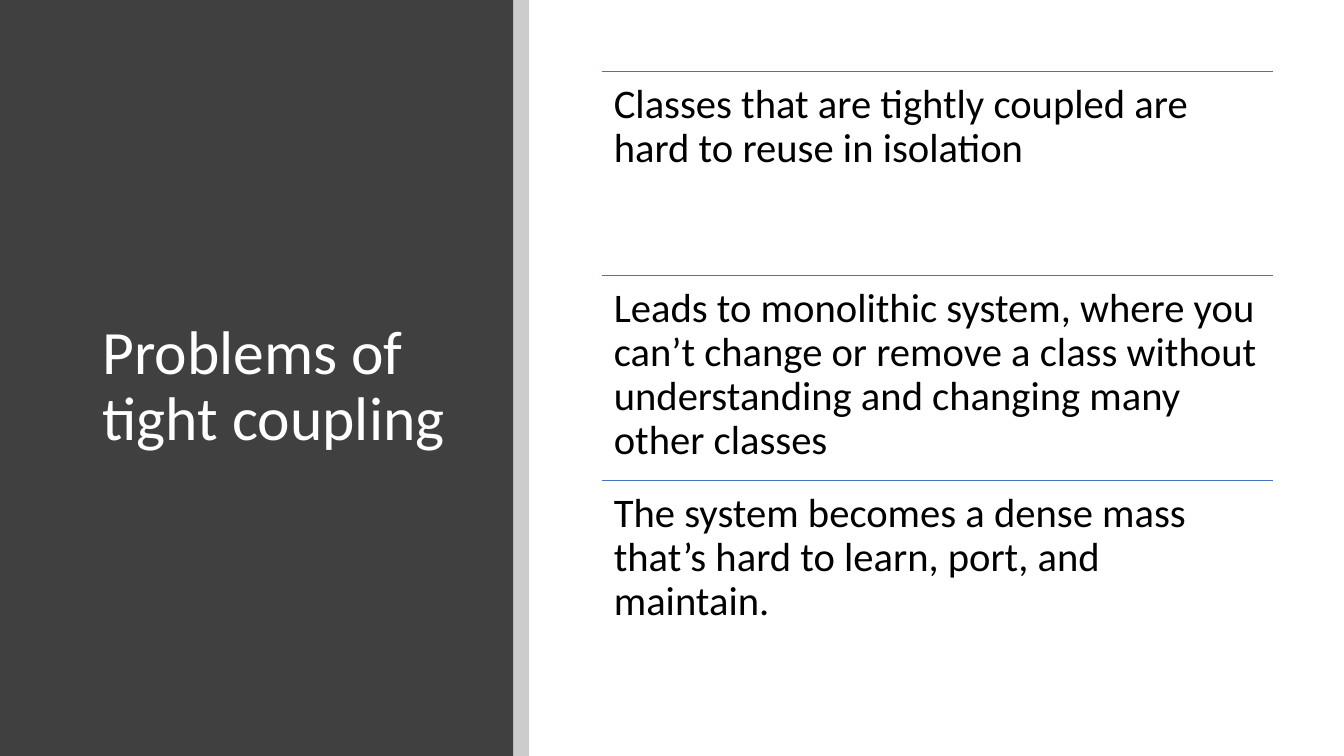
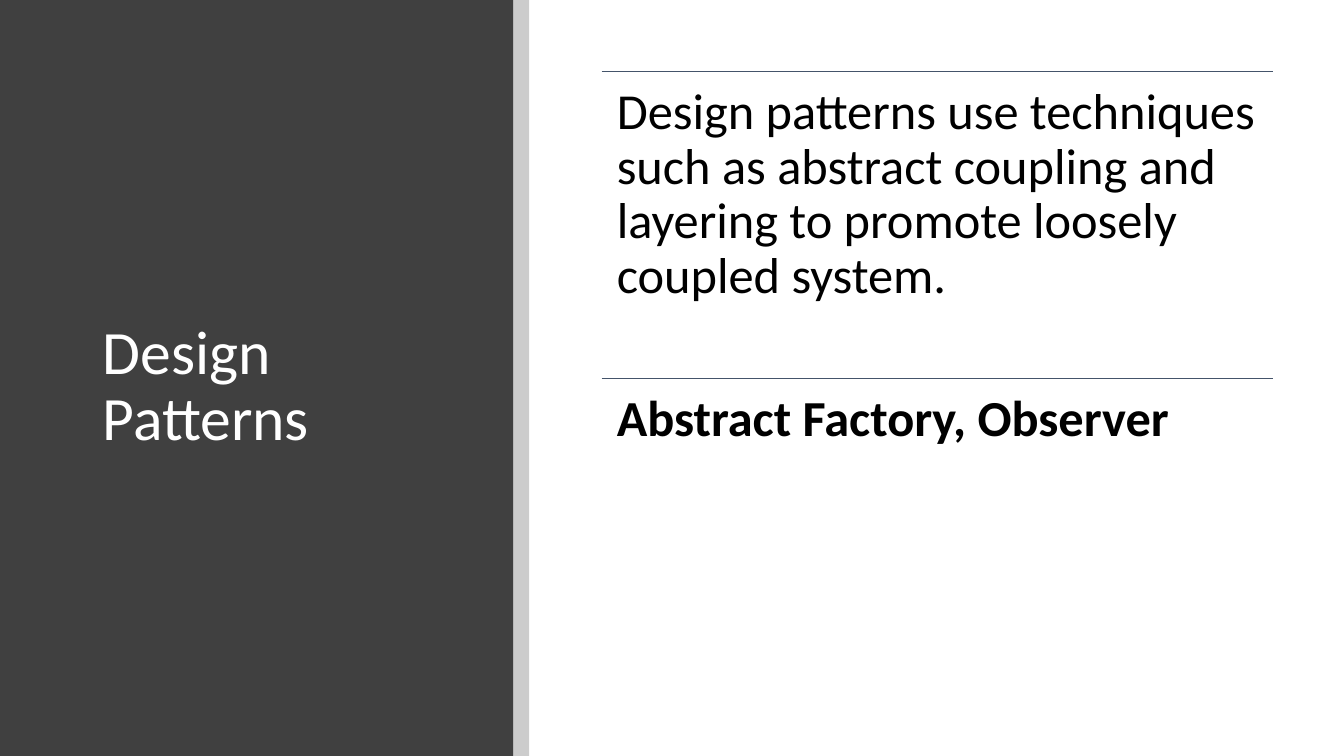
from pptx import Presentation
from pptx.dml.color import RGBColor
from pptx.enum.shapes import MSO_CONNECTOR, MSO_SHAPE
from pptx.enum.text import MSO_ANCHOR
from pptx.oxml.ns import qn
from pptx.util import Pt
from lxml.etree import SubElement

DARK = RGBColor(0x40, 0x40, 0x40)
BLACK = RGBColor(0, 0, 0)
WHITE = RGBColor(255, 255, 255)
BLUE = RGBColor(0x44, 0x72, 0xC4)
SLATE = RGBColor(0x44, 0x54, 0x6A)
FONT = "Calibri"
WIDTH, HEIGHT = 960, 540
PANEL = (0, 0, 366.5, HEIGHT)
LIST = (429.8, 50.75, 479.5, 438.5)


def add_rect(slide, box, color):
    rect = slide.shapes.add_shape(MSO_SHAPE.RECTANGLE, *map(Pt, box))
    rect.shadow.inherit = False
    rect.fill.solid()
    rect.fill.fore_color.rgb = color
    rect.line.fill.background()
    return rect


def add_text(slide, box, text, size, color, bold=False):
    frame = slide.shapes.add_textbox(*map(Pt, box)).text_frame
    frame.word_wrap = True
    para = frame.paragraphs[0]
    para.text = text
    para.line_spacing = 0.9
    font = para.font
    font.name, font.size, font.bold = FONT, Pt(size), bold
    font.color.rgb = color
    return frame


def add_rule(slide, left, top, width, color):
    rule = slide.shapes.add_connector(
        MSO_CONNECTOR.STRAIGHT, Pt(left), Pt(top), Pt(left + width), Pt(top))
    rule.line.color.rgb = color
    rule.line.width = Pt(0.5)
    SubElement(rule._element.spPr, qn("a:effectLst"))


def add_panel(slide, box, title):
    left, top, width, height = box
    add_rect(slide, box, DARK)
    strip = add_rect(slide, (left + width, top, 11.5, height), BLACK)
    tint = strip._element.spPr.find(qn("a:solidFill"))[0]
    SubElement(tint, qn("a:alpha"), val="20000")
    area = (left + 66.2, top + 64, width - 103.7, height - 114.5)
    frame = add_text(slide, area, title, 44, WHITE)
    frame.vertical_anchor = MSO_ANCHOR.MIDDLE


def add_list(slide, box, items, size, color):
    left, top, width, height = box
    row = height / len(items)
    inset = Pt(size * 0.3)
    for index, (text, bold) in enumerate(items):
        y = top + index * row
        add_rule(slide, left, y, width, color)
        frame = add_text(slide, (left, y, width, row), text, size, BLACK, bold)
        frame.margin_left = frame.margin_right = inset
        frame.margin_top = frame.margin_bottom = inset


def add_slide(deck, title, items, size, color):
    slide = deck.slides.add_slide(deck.slide_layouts[6])
    add_panel(slide, PANEL, title)
    add_list(slide, LIST, items, size, color)


deck = Presentation()
deck.slide_width, deck.slide_height = Pt(WIDTH), Pt(HEIGHT)
add_slide(deck, "Problems of tight coupling", [
    ("Classes that are tightly coupled are hard to reuse in isolation", False),
    ("Leads to monolithic system, where you can’t change or remove a class "
     "without understanding and changing many other classes", False),
    ("The system becomes a dense mass that’s hard to learn, port, and "
     "maintain.", False),
], 29, BLUE)
add_slide(deck, "Design Patterns", [
    ("Design patterns use techniques such as abstract coupling and layering "
     "to promote loosely coupled system.", False),
    ("Abstract Factory, Observer", True),
], 36, SLATE)
deck.save("out.pptx")
